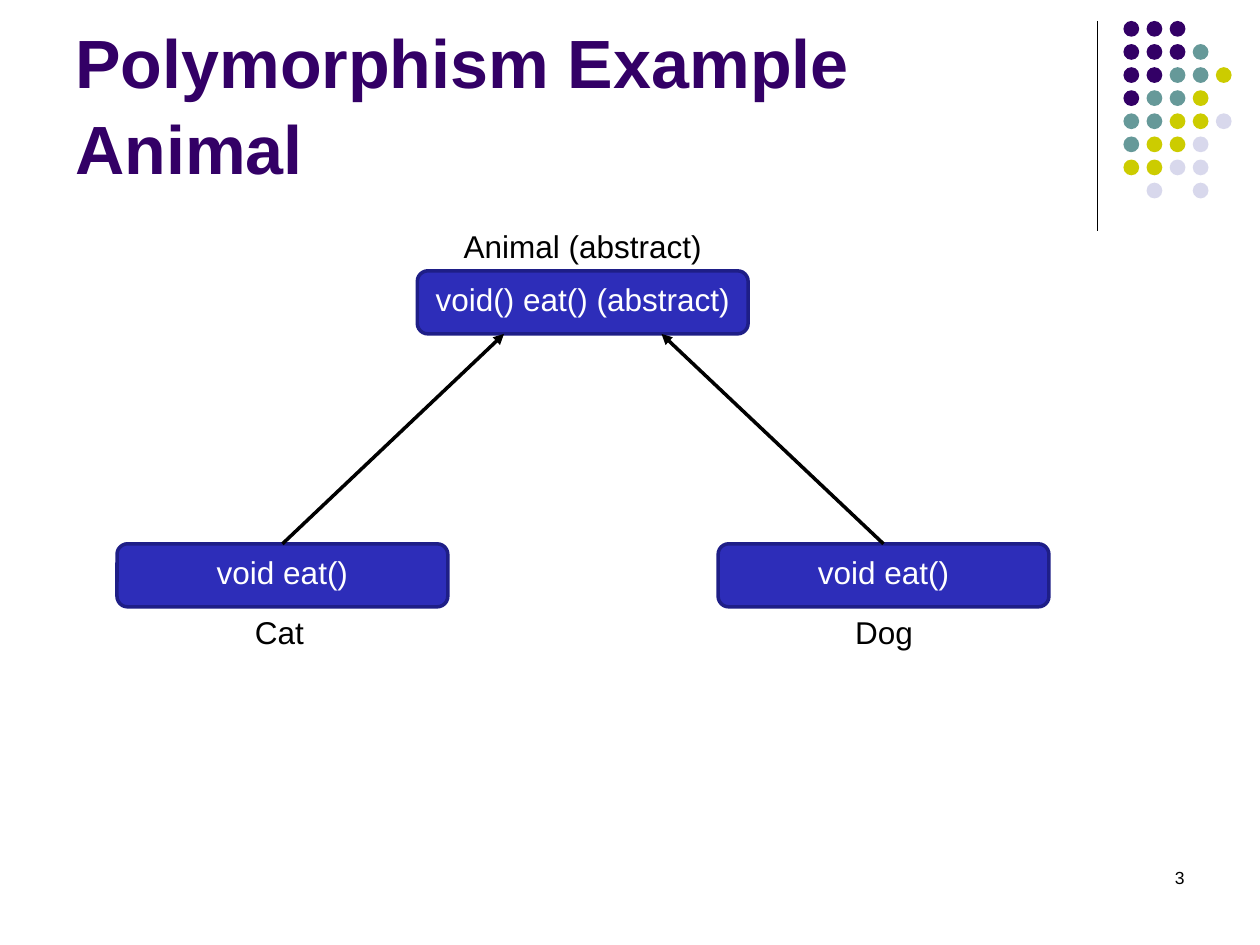
from pptx import Presentation
from pptx.dml.color import RGBColor as RGB
from pptx.enum.shapes import MSO_CONNECTOR as CONN, MSO_SHAPE as SHAPE
from pptx.enum.text import MSO_ANCHOR as ANCHOR, PP_ALIGN as ALIGN
from pptx.oxml.ns import qn
from pptx.util import Inches, Pt
from lxml.etree import SubElement

COLS, ROWS = 120, 90
UNIT = Inches(10) / COLS
COLORS = {"violet": "330066", "teal": "669999", "lime": "CCCC00",
          "lilac": "D8D8EC", "box": "2D2DB9", "edge": "1E1E87",
          "white": "FFFFFF", "black": "000000"}

DOT_COLORS = {"v": "violet", "t": "teal", "l": "lime", "p": "lilac"}
DOT_ROWS = ["vvv", "vvvt", "vvttl", "vttl", "ttllp", "tllp", "llpp", " p p"]
DOT_LEFT, DOT_TOP, DOT_PITCH, DOT_SIZE = 107, 2, 2.2, 1.5

BOX_W, BOX_H = 31.5, 6
LABEL_W, LABEL_H = 25.8, 4.8
PARENT = (39.75, 25.8)
CHILDREN = [(11.15, 51.8), (68.4, 51.8)]
# box position, box text, label position, label text
CLASSES = [
    (PARENT, "void() eat() (abstract)", (42.6, 21), "Animal (abstract)"),
    (CHILDREN[0], "void eat()", (13.7, 57.75), "Cat"),
    (CHILDREN[1], "void eat()", (71.3, 57.8), "Dog"),
]
ARROW_SPREAD = 7.5


def grid(*cells):
    """Turn grid cells into slide lengths."""
    return [round(c * UNIT) for c in cells]


def rgb(name):
    return RGB.from_string(COLORS[name])


def write(sp, lines, color="black", align=ALIGN.CENTER, anchor=ANCHOR.TOP,
          gap=0, **font):
    tf = sp.text_frame
    tf.word_wrap = True
    tf.vertical_anchor = anchor
    for i, line in enumerate(lines):
        p = tf.paragraphs[0] if i == 0 else tf.add_paragraph()
        p.alignment = align
        if i:
            p.space_before = Pt(gap)
        r = p.add_run()
        r.text = line
        for key, value in {"name": "Arial", "size": Pt(18), **font}.items():
            setattr(r.font, key, value)
        r.font.color.rgb = rgb(color)


def add_text(shapes, at, lines, **style):
    write(shapes.add_textbox(*grid(*at)), lines, **style)


def add_filled(shapes, kind, at, fill, edge=None):
    sp = shapes.add_shape(kind, *grid(*at))
    sp.shadow.inherit = False
    sp.fill.solid()
    sp.fill.fore_color.rgb = rgb(fill)
    if edge:
        sp.line.color.rgb = rgb(edge)
        sp.line.width = Pt(2)
    else:
        sp.line.fill.background()
    return sp


def add_line(shapes, ends, width, arrow=False):
    line = shapes.add_connector(CONN.STRAIGHT, *grid(*ends))
    line.line.color.rgb = rgb("black")
    line.line.width = Pt(width)
    if arrow:
        SubElement(line.line._get_or_add_ln(), qn("a:tailEnd"), type="triangle")
    SubElement(line._element.spPr, qn("a:effectLst"))


def add_dots(shapes):
    dots = shapes.add_group_shape().shapes
    for row, codes in enumerate(DOT_ROWS):
        for col, code in enumerate(codes):
            if code in DOT_COLORS:
                at = (DOT_LEFT + col * DOT_PITCH, DOT_TOP + row * DOT_PITCH,
                      DOT_SIZE, DOT_SIZE)
                add_filled(dots, SHAPE.OVAL, at, DOT_COLORS[code])


def add_class(shapes, box, method, label, name):
    group = shapes.add_group_shape().shapes
    sp = add_filled(group, SHAPE.FLOWCHART_ALTERNATE_PROCESS,
                    (*box, BOX_W, BOX_H), "box", "edge")
    write(sp, [method], color="white")
    add_text(group, (*label, LABEL_W, LABEL_H), [name])


def add_inheritance(shapes):
    """Draw an arrow from the top of each child to the foot of the parent."""
    left, top = PARENT
    for (x, y), side in zip(CHILDREN, (-1, 1)):
        ends = (x + BOX_W / 2, y,
                left + BOX_W / 2 + side * ARROW_SPREAD, top + BOX_H)
        add_line(shapes, ends, 2, arrow=True)


def main():
    prs = Presentation()
    prs.slide_width, prs.slide_height = grid(COLS, ROWS)
    s = prs.slides.add_slide(prs.slide_layouts[6])
    add_line(s.shapes, (104.5, 2, 104.5, 22), 0.75)
    add_dots(s.shapes)
    add_text(s.shapes, (86, 82, 28, 6), ["3"], align=ALIGN.RIGHT, size=Pt(10))
    add_text(s.shapes, (6, 1.5, 99, 17), ["Polymorphism Example", "Animal"],
             color="violet", align=ALIGN.LEFT, anchor=ANCHOR.BOTTOM,
             gap=2, size=Pt(39), bold=True)
    for entry in CLASSES:
        add_class(s.shapes, *entry)
    add_inheritance(s.shapes)
    prs.save("out.pptx")


if __name__ == "__main__":
    main()
